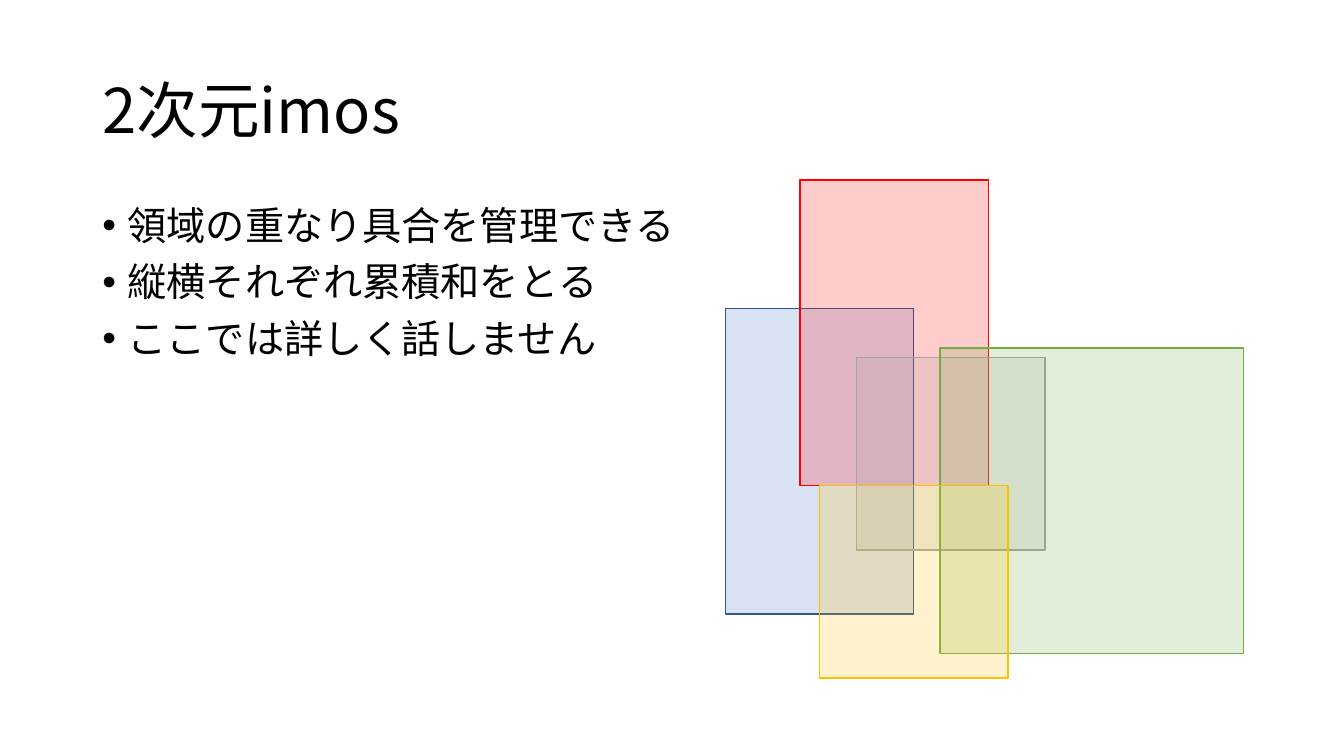
import dataclasses

import lxml.etree
import pptx
import pptx.dml.color
import pptx.enum.shapes
import pptx.enum.text
import pptx.oxml.ns
import pptx.util

Cm = pptx.util.Cm
Pt = pptx.util.Pt


@dataclasses.dataclass(frozen=True)
class Theme:
    """Hold the colours, font and type sizes of the slide."""
    font: str = "Noto Sans CJK JP"
    title: int = 44
    body: int = 28
    ink: str = "000000"
    blue: str = "4472C4"
    navy: str = "325491"
    red: str = "FF0000"
    gray: str = "A5A5A5"
    green: str = "70AD47"
    gold: str = "FFC000"
    alpha: int = 20


THEME = Theme()


def color(code):
    """Turn a hex code into a colour."""
    return pptx.dml.color.RGBColor.from_string(code)


def add_tag(parent, tag, **attrs):
    """Append a drawing element with its attributes."""
    return lxml.etree.SubElement(parent, pptx.oxml.ns.qn(tag), attrs)


def add_text(slide, text, box, size, anchor="TOP", bullet=False, gap=0):
    """Add a text box with one paragraph for each line of text."""
    frame = slide.shapes.add_textbox(*map(Cm, box)).text_frame
    frame.word_wrap = True
    frame.vertical_anchor = pptx.enum.text.MSO_ANCHOR[anchor]
    for index, line in enumerate(text.split("\n")):
        para = frame.add_paragraph() if index else frame.paragraphs[0]
        if bullet:
            props = para._p.get_or_add_pPr()
            indent = Cm(0.64)
            props.set("marL", str(indent))
            props.set("indent", str(-indent))
            add_tag(props, "a:buFont", typeface="Arial")
            add_tag(props, "a:buChar", char="•")
        para.line_spacing = 0.9
        para.space_before = Pt(gap if index else 0)
        run = para.add_run()
        run.text = line
        run.font.size = Pt(size)
        run.font.color.rgb = color(THEME.ink)
        run.font.name = THEME.font
        add_tag(run._r.get_or_add_rPr(), "a:ea", typeface=THEME.font)


def add_area(slide, box, fill, edge):
    """Add a see-through rectangle with a thin outline."""
    area = slide.shapes.add_shape(
        pptx.enum.shapes.MSO_SHAPE.RECTANGLE, *map(Cm, box))
    area.shadow.inherit = False
    area.fill.solid()
    area.fill.fore_color.rgb = color(fill)
    tint = area._element.spPr.find(".//" + pptx.oxml.ns.qn("a:srgbClr"))
    add_tag(tint, "a:alpha", val=str(THEME.alpha * 1000))
    area.line.color.rgb = color(edge)
    area.line.width = Pt(1)


def main():
    """Build the slide and save it."""
    deck = pptx.Presentation()
    deck.slide_width, deck.slide_height = Cm(33.87), Cm(19.05)
    slide = deck.slides.add_slide(deck.slide_layouts[6])
    add_text(slide, "2次元imos", (2.33, 1.01, 29.21, 3.68),
             THEME.title, anchor="MIDDLE")
    add_text(slide,
             "領域の重なり具合を管理できる\n"
             "縦横それぞれ累積和をとる\n"
             "ここでは詳しく話しません",
             (2.33, 5.08, 29.21, 12.09), THEME.body, bullet=True, gap=10)
    slim, wide, tall, low = 4.75, 7.65, 7.7, 4.85
    for box, fill, edge in (
            ((18.28, 7.77, slim, tall), THEME.blue, THEME.navy),
            ((20.16, 4.54, slim, tall), THEME.red, THEME.red),
            ((21.59, 9.01, slim, low), THEME.gray, THEME.gray),
            ((23.69, 8.77, wide, tall), THEME.green, THEME.green),
            ((20.65, 12.24, slim, low), THEME.gold, THEME.gold)):
        add_area(slide, box, fill, edge)
    deck.save("out.pptx")


if __name__ == "__main__":
    main()
